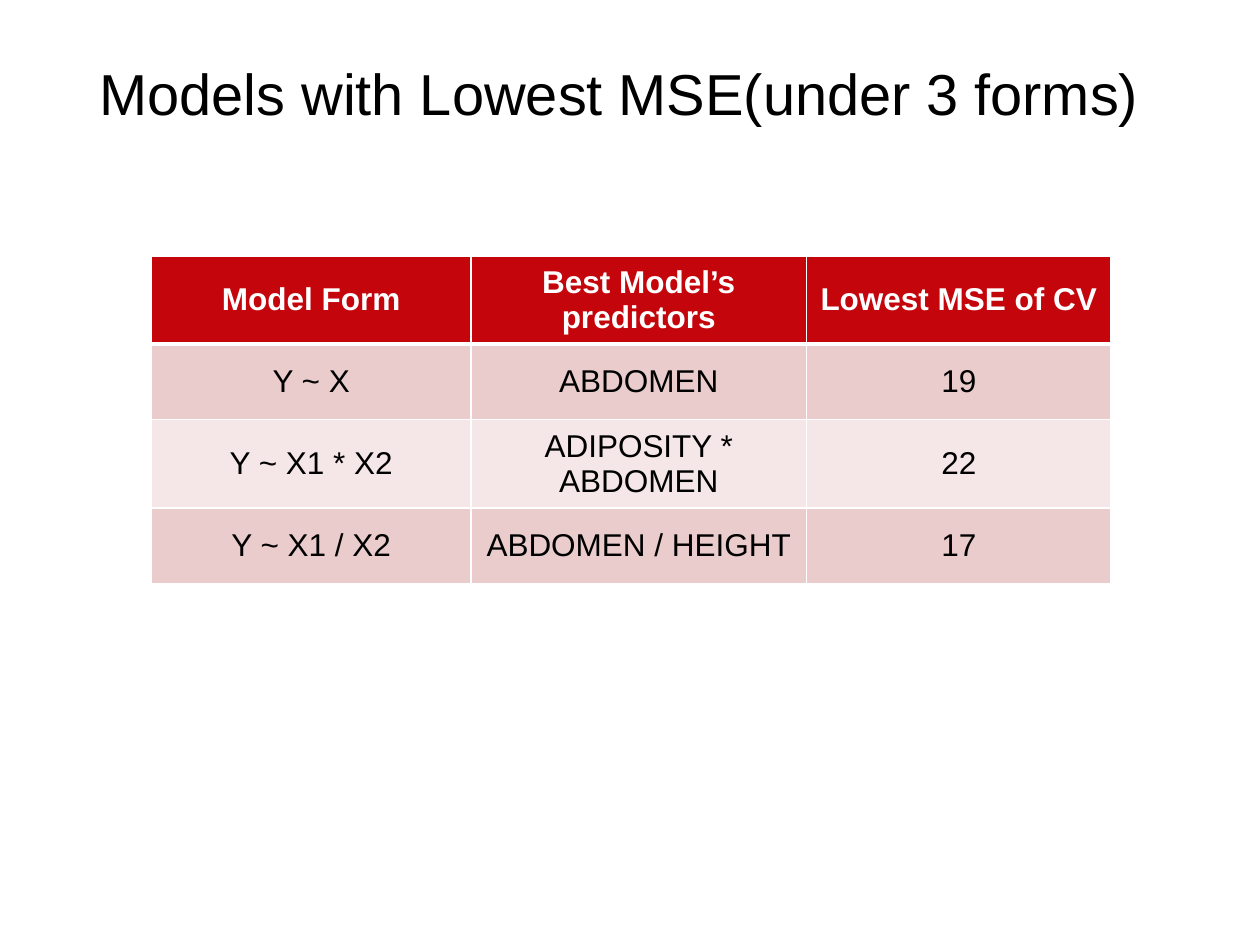
from lxml.etree import SubElement
from pptx import Presentation
from pptx.dml.color import RGBColor
from pptx.enum.text import MSO_ANCHOR, PP_ALIGN
from pptx.oxml.ns import qn
from pptx.util import Inches, Pt

BLACK = RGBColor(0x00, 0x00, 0x00)
WHITE = RGBColor(0xFF, 0xFF, 0xFF)
RED = RGBColor(0xC5, 0x05, 0x0C)
PINK = RGBColor(0xEA, 0xCC, 0xCC)
PALE = RGBColor(0xF5, 0xE7, 0xE7)


def add_text(p, text, size, color, bold=False):
    r = p.add_run()
    r.text = text
    font = {"name": "Arial", "size": Pt(size), "bold": bold}
    for key, value in font.items():
        setattr(r.font, key, value)
    r.font.color.rgb = color


def set_border(cell, side, width):
    ln = SubElement(cell._tc.get_or_add_tcPr(), qn(f"a:ln{side}"), w=str(Pt(width)))
    fill = SubElement(ln, qn("a:solidFill"))
    SubElement(fill, qn("a:srgbClr"), val=str(WHITE))


prs = Presentation()
prs.slide_width, prs.slide_height = Inches(10), Inches(7.5)
s = prs.slides.add_slide(prs.slide_layouts[6])

# Title
sp = s.shapes.add_textbox(Inches(0.69), Inches(0.4), Inches(8.62), Inches(0.73))
tf = sp.text_frame
tf.word_wrap = True
tf.vertical_anchor = MSO_ANCHOR.MIDDLE
p = tf.paragraphs[0]
p.line_spacing = 0.9
add_text(p, "Models with Lowest MSE(under 3 forms)", 33, BLACK)

# Table of the best model under each form
rows = [
    ("Model Form", "Best Model’s predictors", "Lowest MSE of CV"),
    ("Y ~ X", "ABDOMEN", "19"),
    ("Y ~ X1 * X2", "ADIPOSITY * ABDOMEN", "22"),
    ("Y ~ X1 / X2", "ABDOMEN / HEIGHT", "17"),
]
fills = [RED, PINK, PALE, PINK]
widths = [2.54, 2.66, 2.42]
table = s.shapes.add_table(len(rows), len(widths), Inches(1.2), Inches(2.03),
                           Inches(sum(widths)), Inches(2.4)).table
for column, width in zip(table.columns, widths):
    column.width = Inches(width)

for i, (row, fill) in enumerate(zip(rows, fills)):
    table.rows[i].height = Inches(0.6)
    header = i == 0
    for j, text in enumerate(row):
        cell = table.cell(i, j)
        cell.vertical_anchor = MSO_ANCHOR.MIDDLE
        # The rule under the header is thicker than the others
        for side in "LRTB":
            thick = (header and side == "B") or (i == 1 and side == "T")
            set_border(cell, side, 3 if thick else 1)
        cell.fill.solid()
        cell.fill.fore_color.rgb = fill
        p = cell.text_frame.paragraphs[0]
        p.alignment = PP_ALIGN.CENTER
        add_text(p, text, 18, WHITE if header else BLACK, header)

prs.save("out.pptx")
